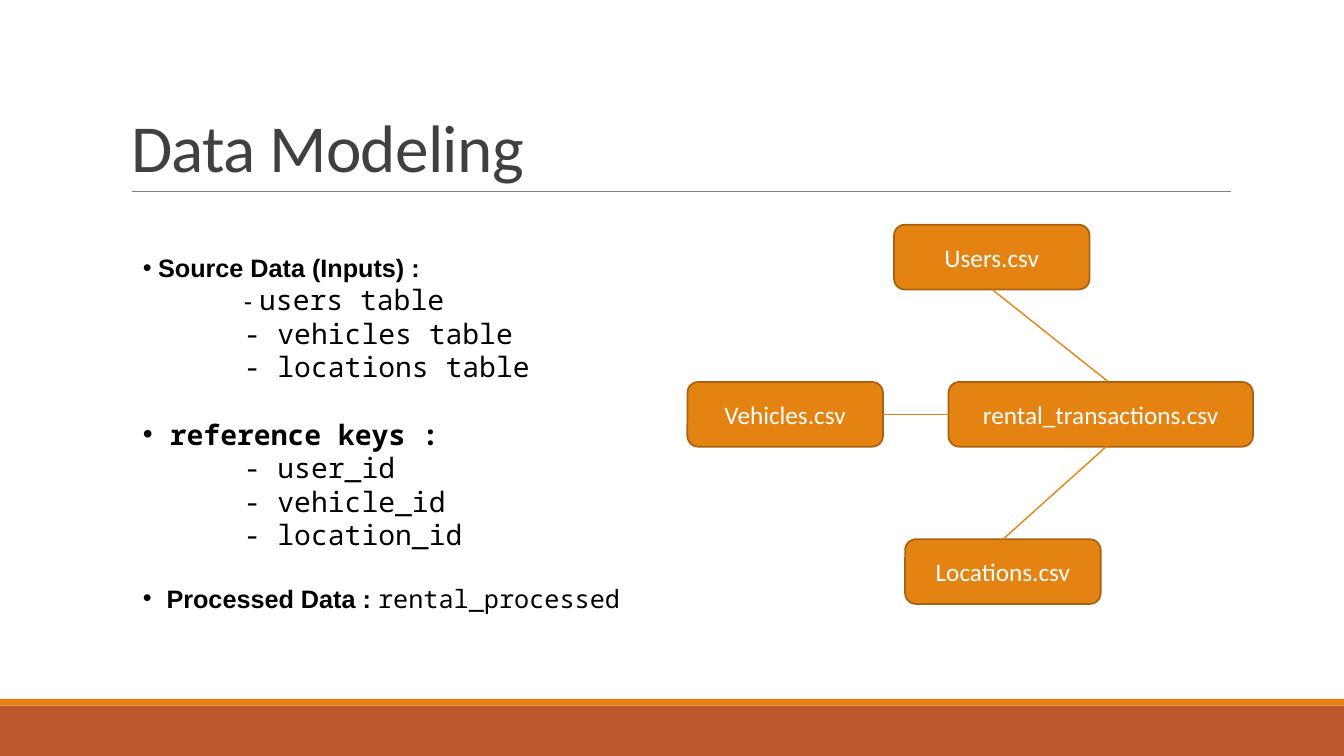
from dataclasses import dataclass

from lxml import etree
from pptx import Presentation
from pptx import util as u
from pptx.dml.color import RGBColor
from pptx.enum import shapes, text
from pptx.oxml import ns

COLORS = {
    "footer": "BD582C", "accent": "E48312", "edge": "A9610D", "rule": "808080",
    "title": "404040", "body": "000000", "label": "FFFFFF",
}
COLUMNS, ROWS = 160, 90
MONO = "Noto Sans Mono"
NODE_WIDTH, NODE_HEIGHT = 23.28, 7.7
NODE_TOP, NODE_PITCH = 26.76, 18.72


@dataclass
class Span:
    words: str
    font: str = MONO
    size: int = 20
    bold: bool = False


@dataclass
class Entry:
    spans: list[Span]
    spacing: int = 24
    indent: float = 12
    bullet: bool = False


@dataclass
class Node:
    label: str
    column: float
    level: int
    width: float = NODE_WIDTH


@dataclass
class Link:
    start: tuple[float, float]
    end: tuple[float, float]
    color: str = "accent"
    weight: float = 1


@dataclass
class Bar:
    row: float
    height: float
    color: str


BARS = [Bar(84, 6, "footer"), Bar(83.2, 0.8, "accent")]
ENTRIES = [
    Entry([Span("Source Data (Inputs) :", "Arial", 18, True)], 48, 1.8, True),
    Entry([Span("- ", "Arial", 18), Span("users table")]),
    Entry([Span("- vehicles table")]),
    Entry([Span("- locations table")]),
    Entry([Span("reference keys :", bold=True)], 48, 3.2, True),
    Entry([Span("- user_id")]),
    Entry([Span("- vehicle_id")]),
    Entry([Span("- location_id")]),
    Entry([Span("Processed Data : ", "Arial", 18, True),
           Span("rental_processed", size=18)], 44, 2.8, True),
]
NODES = [
    Node("Users.csv", 106.44, 0),
    Node("rental_transactions.csv", 112.92, 1, 36.24),
    Node("Locations.csv", 107.76, 2),
    Node("Vehicles.csv", 81.84, 1),
]
LINKS = [
    Link((15.72, 22.8), (146.5, 22.8), "rule", 0.5),
    Link((118.08, 34.44), (131.88, 45.4)),
    Link((132, 52.9), (119.4, 64.2)),
    Link((105.12, 49.32), (112.92, 49.32)),
]

deck = Presentation()
deck.slide_width, deck.slide_height = u.Inches(13.33), u.Inches(7.5)
slide = deck.slides.add_slide(deck.slide_layouts[5])


def across(columns: float) -> int:
    return round(deck.slide_width * columns / COLUMNS)


def down(rows: float) -> int:
    return round(deck.slide_height * rows / ROWS)


def box(left: float, top: float, width: float, height: float) -> tuple:
    return across(left), down(top), across(width), down(height)


def rgb(name: str) -> RGBColor:
    return RGBColor.from_string(COLORS[name])


def style(font, face: str, size: float, color: str, bold: bool = False) -> None:
    font.name, font.size, font.bold = face, u.Pt(size), bold
    font.color.rgb = rgb(color)


def draw_bar(bar: Bar) -> None:
    band = slide.shapes.add_shape(
        shapes.MSO_SHAPE.RECTANGLE, *box(0, bar.row, COLUMNS, bar.height))
    band.shadow.inherit = False
    band.fill.solid()
    band.fill.fore_color.rgb = rgb(bar.color)
    band.line.fill.background()


def draw_link(link: Link) -> None:
    (x1, y1), (x2, y2) = link.start, link.end
    line = slide.shapes.add_connector(
        shapes.MSO_CONNECTOR.STRAIGHT, across(x1), down(y1), across(x2), down(y2))
    line.line.color.rgb = rgb(link.color)
    line.line.width = u.Pt(link.weight)
    etree.SubElement(line._element.spPr, ns.qn("a:effectLst"))


def draw_node(node: Node) -> None:
    card = slide.shapes.add_shape(
        shapes.MSO_SHAPE.ROUNDED_RECTANGLE,
        *box(node.column, NODE_TOP + node.level * NODE_PITCH, node.width, NODE_HEIGHT))
    card.shadow.inherit = False
    card.fill.solid()
    card.fill.fore_color.rgb = rgb("accent")
    card.line.color.rgb = rgb("edge")
    card.line.width = u.Pt(1.25)
    frame = card.text_frame
    frame.text = node.label
    frame.vertical_anchor = text.MSO_ANCHOR.MIDDLE
    frame.paragraphs[0].alignment = text.PP_ALIGN.CENTER
    style(frame.paragraphs[0].font, "Calibri", 18, "label")


def write_entry(paragraph, entry: Entry) -> None:
    paragraph.line_spacing = u.Pt(entry.spacing)
    properties = paragraph._p.get_or_add_pPr()
    properties.set("marL", str(across(entry.indent)))
    if entry.bullet:
        properties.set("indent", str(-across(entry.indent)))
        face = etree.SubElement(properties, ns.qn("a:buFont"))
        face.set("typeface", "Arial")
        etree.SubElement(properties, ns.qn("a:buChar")).set("char", "•")
    for span in entry.spans:
        run = paragraph.add_run()
        run.text = span.words
        if len(entry.spans) > 1:
            style(run.font, span.font, span.size, "body", span.bold)
    if len(entry.spans) == 1:
        style(paragraph.font, span.font, span.size, "body", span.bold)


def draw_title(words: str) -> None:
    title = slide.shapes.title
    title.left, title.top, title.width, title.height = box(14.4, 3.72, 132, 19.08)
    frame = title.text_frame
    frame.text = words
    frame.vertical_anchor = text.MSO_ANCHOR.BOTTOM
    frame.auto_size = text.MSO_AUTO_SIZE.NONE
    heading = frame.paragraphs[0]
    heading.alignment = text.PP_ALIGN.LEFT
    heading.line_spacing = 0.85
    style(heading.font, "Calibri", 48, "title")
    heading.runs[0]._r.get_or_add_rPr().set("spc", "-50")


def draw_entries(entries: list[Entry]) -> None:
    frame = slide.shapes.add_textbox(*box(15.84, 25.8, 62.04, 47.04)).text_frame
    frame.word_wrap = True
    frame.vertical_anchor = text.MSO_ANCHOR.MIDDLE
    for index, entry in enumerate(entries):
        write_entry(frame.add_paragraph() if index else frame.paragraphs[0], entry)


for bar in BARS:
    draw_bar(bar)
draw_title("Data Modeling")
draw_entries(ENTRIES)
for node in NODES:
    draw_node(node)
for link in LINKS:
    draw_link(link)
deck.save("out.pptx")
